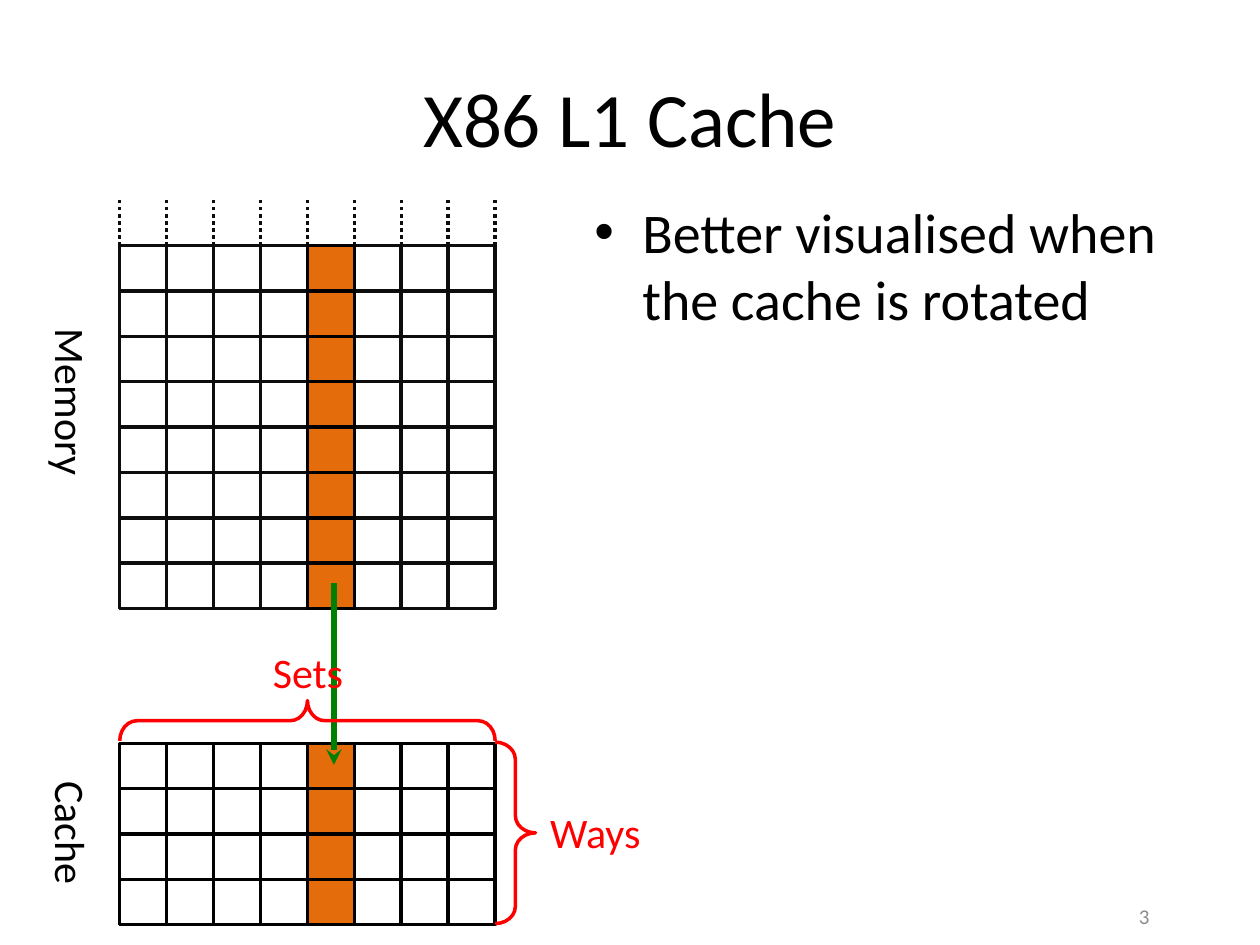
from lxml.etree import SubElement
from pptx import Presentation
from pptx.dml.color import RGBColor
from pptx.enum.dml import MSO_LINE
from pptx.enum.shapes import MSO_CONNECTOR, MSO_SHAPE
from pptx.enum.text import MSO_ANCHOR, PP_ALIGN
from pptx.oxml.ns import qn
from pptx.util import Inches, Pt

BLACK = RGBColor(0x00, 0x00, 0x00)
INK = RGBColor(0x0D, 0x0D, 0x0D)
ORANGE = RGBColor(0xE4, 0x6C, 0x0A)
GREEN = RGBColor(0x00, 0x80, 0x00)
RED = RGBColor(0xFF, 0x00, 0x00)
GREY = RGBColor(0x8C, 0x8C, 0x8C)

SETS = 8
ACTIVE_SET = 4
GRID_LEFT = 0.95
GRID_WIDTH = 2.98
COLUMN = GRID_WIDTH / SETS
ROW = 0.36
MEMORY_TOP, MEMORY_ROWS = 1.95, 8
CACHE_TOP, CACHE_ROWS = 5.9, 4


class SlideBuilder:
    font = "Calibri"
    line_width = Pt(2)

    def __init__(self, page):
        self.page = page

    def text(self, area, words, size, color=BLACK, align=PP_ALIGN.CENTER,
             anchor=MSO_ANCHOR.TOP, wrap=True, vertical=False):
        box = self.page.shapes.add_textbox(*map(Inches, area))
        frame = box.text_frame
        frame.word_wrap = wrap
        frame.vertical_anchor = anchor
        if vertical:
            frame._txBody.bodyPr.set("vert", "vert")
        para = frame.paragraphs[0]
        para.alignment = align
        span = para.add_run()
        span.text = words
        span.font.name = self.font
        span.font.size = Pt(size)
        span.font.color.rgb = color
        return para

    def bullet(self, area, words, size):
        para = self.text(area, words, size, align=PP_ALIGN.LEFT)
        para.space_before = Pt(size * 0.2)
        properties = para._p.get_or_add_pPr()
        properties.set("marL", str(Inches(0.38)))
        properties.set("indent", str(Inches(-0.38)))
        SubElement(properties, qn("a:buFont")).set("typeface", "Arial")
        SubElement(properties, qn("a:buChar")).set("char", "•")

    def shape(self, shapes, kind, area, line, fill=None):
        shape = shapes.add_shape(kind, *map(Inches, area))
        shape.shadow.inherit = False
        shape.line.color.rgb = line
        shape.line.width = self.line_width
        if fill is None:
            shape.fill.background()
        else:
            shape.fill.solid()
            shape.fill.fore_color.rgb = fill
        return shape

    def cells(self, top, rows, columns, line, fill=None):
        group = self.page.shapes.add_group_shape()
        for row in range(rows):
            for column in columns:
                area = (GRID_LEFT + column * COLUMN, top + row * ROW, COLUMN, ROW)
                self.shape(group.shapes, MSO_SHAPE.RECTANGLE, area, line, fill)

    def grid(self, top, rows, line):
        idle_sets = [column for column in range(SETS) if column != ACTIVE_SET]
        self.cells(top, rows, idle_sets, line)
        self.cells(top, rows, [ACTIVE_SET], BLACK, ORANGE)

    def line(self, start, end, color, width=line_width):
        connector = self.page.shapes.add_connector(
            MSO_CONNECTOR.STRAIGHT, *map(Inches, start + end))
        connector.line.color.rgb = color
        connector.line.width = width
        SubElement(connector._element.spPr, qn("a:effectLst"))
        return connector

    def dotted_line(self, start, end, color):
        self.line(start, end, color).line.dash_style = MSO_LINE.ROUND_DOT

    def arrow(self, start, end, color):
        connector = self.line(start, end, color, Pt(3))
        tail = SubElement(connector.line._get_or_add_ln(), qn("a:tailEnd"))
        tail.set("type", "stealth")

    def brace(self, area, rotation, color):
        brace = self.shape(self.page.shapes, MSO_SHAPE.LEFT_BRACE, area, color)
        brace.rotation = rotation
        brace.adjustments[0] = 0.427
        brace.adjustments[1] = 0.5


def main():
    deck = Presentation()
    deck.slide_width = Inches(10)
    deck.slide_height = Inches(7.5)
    builder = SlideBuilder(deck.slides.add_slide(deck.slide_layouts[6]))

    builder.text((0.5, 0.3, 9, 1.25), "X86 L1 Cache", 44, anchor=MSO_ANCHOR.MIDDLE)
    builder.bullet((4.62, 1.52, 5.16, 5.81),
                   "Better visualised when the cache is rotated", 32)

    for column in range(SETS + 1):
        x = GRID_LEFT + column * COLUMN
        builder.dotted_line((x, MEMORY_TOP), (x, 1.58), INK)
    builder.grid(MEMORY_TOP, MEMORY_ROWS, INK)
    builder.grid(CACHE_TOP, CACHE_ROWS, BLACK)

    for label, top in (("Memory", 2.48), ("Cache", 5.9)):
        builder.text((0.21, top, 0.61, 1.42), label, 24, vertical=True)

    builder.arrow((2.65, 4.63), (2.65, 6.07), GREEN)

    builder.brace((2.28, 4.23, 0.32, GRID_WIDTH), 90, RED)
    builder.text((2.06, 5.08, 0.77, 0.5), "Sets", 24, RED, wrap=False)
    builder.brace((3.93, 5.89, 0.32, CACHE_ROWS * ROW), 180, RED)
    builder.text((4.25, 6.35, 0.95, 0.5), "Ways", 24, RED, wrap=False)

    builder.text((8.94, 7.01, 0.72, 0.52), "3", 12, GREY,
                 align=PP_ALIGN.LEFT, anchor=MSO_ANCHOR.MIDDLE)
    deck.save("out.pptx")


if __name__ == "__main__":
    main()
